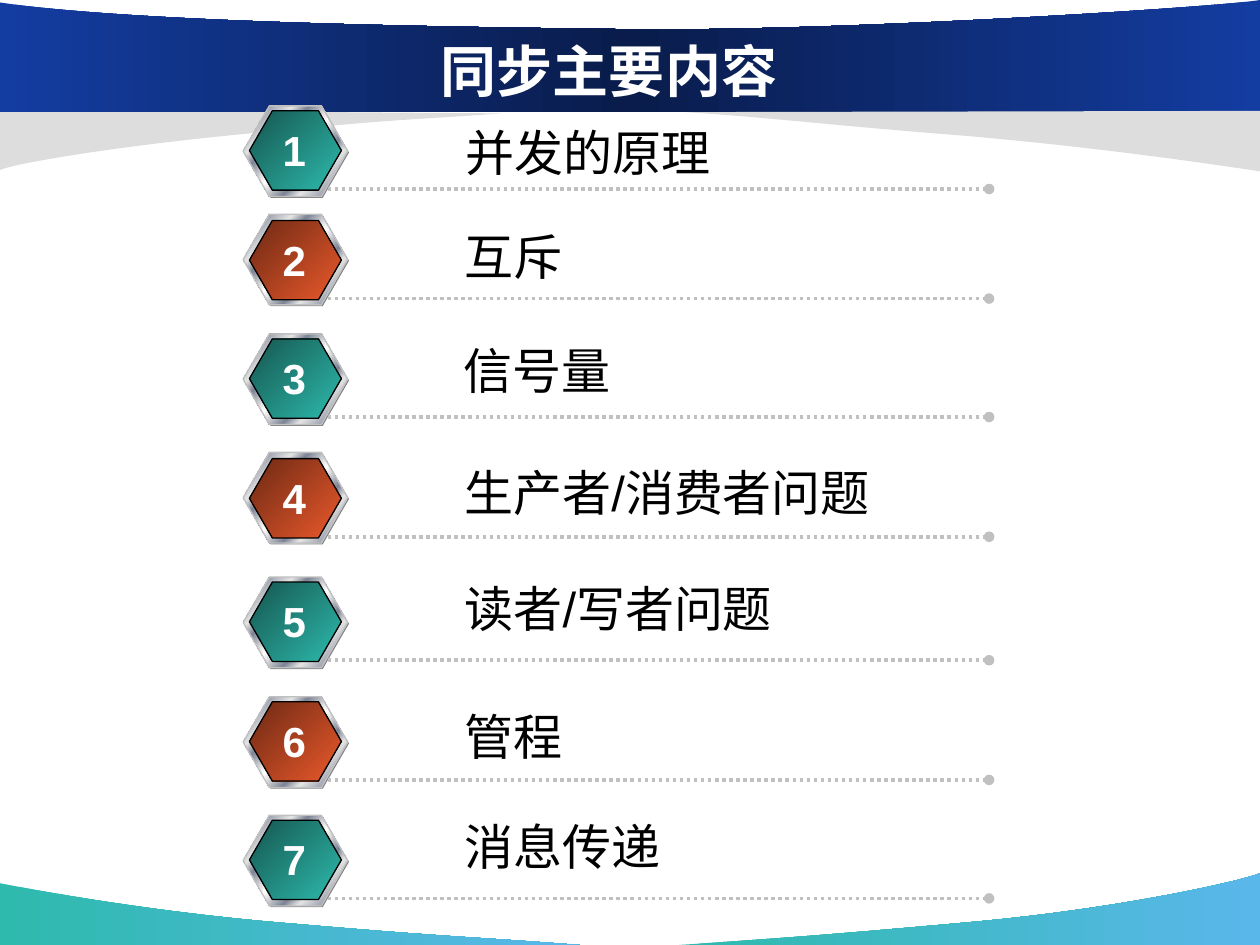
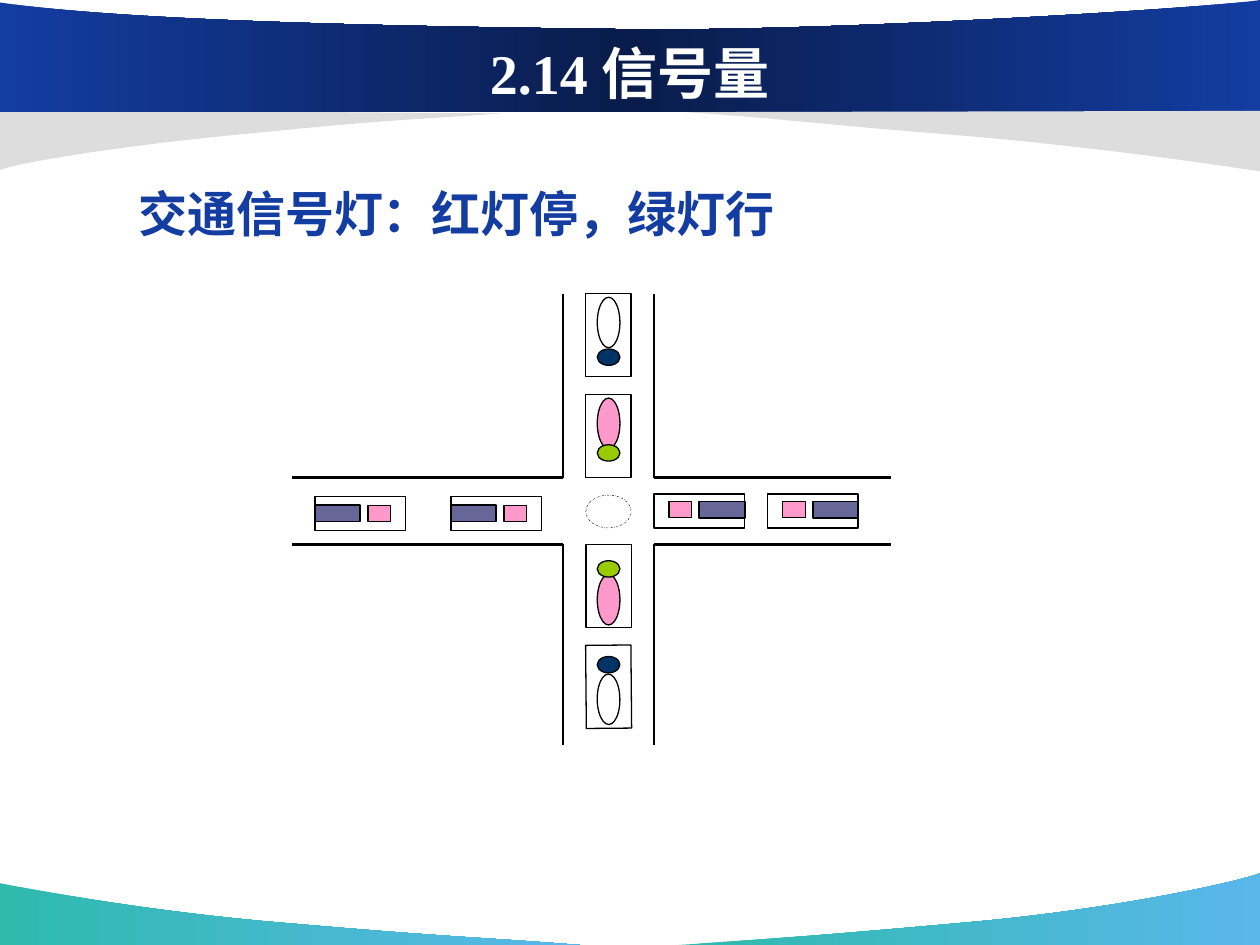
"""Build two slides on synchronisation: a numbered agenda and a traffic-light crossing."""
import pptx
import pptx.dml.color
import pptx.enum.dml
import pptx.enum.shapes
import pptx.enum.text
import pptx.oxml.ns
import pptx.util
from lxml import etree

Inches = pptx.util.Inches
Pt = pptx.util.Pt
RGBColor = pptx.dml.color.RGBColor
qn = pptx.oxml.ns.qn
Kind = pptx.enum.shapes.MSO_SHAPE
STRAIGHT = pptx.enum.shapes.MSO_CONNECTOR.STRAIGHT
Dash = pptx.enum.dml.MSO_LINE
Align = pptx.enum.text.PP_ALIGN
Anchor = pptx.enum.text.MSO_ANCHOR
AutoSize = pptx.enum.text.MSO_AUTO_SIZE


class Theme:
    white, black, blue = "FFFFFF", "000000", "143DA2"
    wing, shade, silver = "DDDDDD", "808080", "C0C0C0"
    body, cab, driver, go, stop = "666699", "FF99CC", "FF99CC", "99CC00", "003366"
    band = [(0, "143DA2"), (50, "091C4B"), (100, "143DA2")]
    footer = [(0, "2EBAAD"), (100, "5AB7EA")]
    teal = [(0, "15564F"), (100, "2EBAAD")]
    orange = [(0, "6C2914"), (100, "EB592B")]
    metal = [(0, "E6E6E6"), (8, "7D8496"), (26, "E6E6E6"), (34, "7D8496"),
             (46, "E6E6E6"), (50, "FFFFFF"), (54, "E6E6E6"), (66, "7D8496"),
             (74, "E6E6E6"), (92, "7D8496"), (100, "E6E6E6")]
    title = {"size": Pt(32), "name": "Arial", "bold": True}
    heading = {"size": Pt(28), "name": "Arial", "bold": True}
    item = {"size": Pt(28), "name": "Arial", "bold": False}
    number = {"size": Pt(24), "name": "Arial", "bold": True}


def style_shape(shape, fill=None, line=None, width=0.75, dash=None, angle=0):
    properties = shape._element.spPr
    if line:
        shape.line.color.rgb = RGBColor.from_string(line)
        shape.line.width = Pt(width)
        if dash:
            shape.line.dash_style = dash
    else:
        shape.line.fill.background()
    if not hasattr(shape, "fill"):
        etree.SubElement(properties, qn("a:effectLst"))
        return
    shape.shadow.inherit = False
    if fill is None:
        shape.fill.background()
    elif isinstance(fill, str):
        shape.fill.solid()
        shape.fill.fore_color.rgb = RGBColor.from_string(fill)
    else:
        shape.fill.gradient()
        gradient = properties.find(qn("a:gradFill"))
        stops = gradient.find(qn("a:gsLst"))
        for stop in list(stops):
            stops.remove(stop)
        for position, color in fill:
            stop = etree.SubElement(stops, qn("a:gs"), pos=str(position * 1000))
            etree.SubElement(stop, qn("a:srgbClr"), val=color)
        gradient.find(qn("a:lin")).set("ang", str(angle * 60000))


def add_text(shapes, box, text, format_values, color, align=Align.LEFT, **frame_values):
    text_box = shapes.add_textbox(*map(Inches, box))
    frame = text_box.text_frame
    for name, value in ({"word_wrap": True} | frame_values).items():
        setattr(frame, name, value)
    paragraph = frame.paragraphs[0]
    paragraph.alignment = align
    run = paragraph.add_run()
    run.text = text
    for name, value in format_values.items():
        setattr(run.font, name, value)
    run.font.color.rgb = RGBColor.from_string(color)
    return paragraph


presentation = pptx.Presentation()
presentation.slide_width, presentation.slide_height = Inches(10), Inches(7.5)
blank_layout = presentation.slide_layouts[6]
agenda_slide = presentation.slides.add_slide(blank_layout)
crossing_slide = presentation.slides.add_slide(blank_layout)

backdrop = [
    (Theme.footer, [(4.6, 7.5), (3.84, 7.44, 3.58, 7.44, 2.32, 7.33),
                    (1.06, 7.23, 0.01, 7.01, 0, 7.01), (0, 7.5)]),
    (Theme.footer, [(5.39, 7.5), (6.14, 7.45, 6.46, 7.43, 7.69, 7.32),
                    (8.92, 7.21, 9.9, 6.98, 10, 6.93), (10, 7.5)]),
    (Theme.wing, [(3.98, 0.9), (3.31, 0.95, 3.18, 0.94, 2.08, 1.05),
                  (0.97, 1.15, 0.09, 1.3, 0, 1.35), (0, 0.87)]),
    (Theme.band, [(0, 0.89), (10, 0.89), (10, 0), (9.64, 0.06, 6.53, 0.26, 4.87, 0.23),
                  (3.21, 0.21, 1.01, 0.17, 0, 0.02)]),
    (Theme.wing, [(5.44, 0.89), (6.2, 0.94, 6.42, 0.98, 7.68, 1.08),
                  (8.94, 1.19, 9.99, 1.36, 10, 1.36), (10, 0.88)]),
]
master_tree = presentation.slide_master.shapes._spTree
for index, (fill, outline) in enumerate(backdrop):
    corners = [(Inches(segment[-2]), Inches(segment[-1])) for segment in outline]
    builder = agenda_slide.shapes.build_freeform(*corners[0])
    builder.add_line_segments(corners[1:], close=True)
    shape = builder.convert_to_shape()
    style_shape(shape, fill)
    edges = list(shape._element.iter(qn("a:lnTo")))
    for edge, segment in zip(edges, outline[1:]):
        if len(segment) == 6:
            curve = etree.Element(qn("a:cubicBezTo"))
            for x, y in zip(segment[::2], segment[1::2]):
                etree.SubElement(curve, qn("a:pt"), x=str(Inches(x) - shape.left),
                                 y=str(Inches(y) - shape.top))
            edge.getparent().replace(edge, curve)
    shape._element.nvSpPr.cNvPr.set("id", str(100 + index))
    master_tree.insert(2 + index, shape._element)

for slide, title, title_box, title_font in [
    (agenda_slide, "同步主要内容", (0.92, 0.25, 7.83, 0.62), "Arial"),
    (crossing_slide, "2.14 信号量", (0.5, 0.06, 9, 1.02), "Times New Roman"),
]:
    add_text(slide.shapes, title_box, title, Theme.title | {"name": title_font},
             Theme.white, Align.CENTER, vertical_anchor=Anchor.MIDDLE)

agenda = [
    ("并发的原理", 0.84, 1.5, 3.6, 0.92),
    ("互斥", 1.7, 2.37, 3.59, 1.75),
    ("信号量", 2.65, 3.31, 3.58, 2.65),
    ("生产者/消费者问题", 3.59, 4.26, 3.59, 3.62),
    ("读者/写者问题", 4.58, 5.24, 3.59, 4.54),
    ("管程", 5.53, 6.19, 3.59, 5.56),
    ("消息传递", 6.47, 7.13, 3.59, 6.43),
]
for number, (label, top, rule_top, label_left, label_top) in enumerate(agenda, 1):
    row = agenda_slide.shapes.add_group_shape().shapes
    face = Theme.teal if number % 2 else Theme.orange
    for left, hexagon_top, width, height, fill, line in [
        (1.94, top + 0.01, 0.83, 0.72, Theme.shade, None),
        (1.93, top, 0.83, 0.72, Theme.metal, Theme.silver),
        (1.98, rule_top - 0.62, 0.73, 0.63, face, Theme.black),
    ]:
        hexagon = row.add_shape(Kind.HEXAGON, *map(Inches, (left, hexagon_top, width, height)))
        hexagon.adjustments[0] = 0.289
        style_shape(hexagon, fill, line, angle=45)
    rule = row.add_connector(STRAIGHT, *map(Inches, (2.6, rule_top, 7.85, rule_top)))
    style_shape(rule, line=Theme.silver, width=2, dash=Dash.ROUND_DOT)
    etree.SubElement(rule._element.spPr.find(qn("a:ln")), qn("a:tailEnd"), type="oval")
    add_text(row, (2.14, rule_top - 0.56, 0.39, 0.5), str(number), Theme.number, Theme.white,
             Align.CENTER, word_wrap=False, auto_size=AutoSize.SHAPE_TO_FIT_TEXT)
    add_text(agenda_slide.shapes, (label_left, label_top, 4.64, 0.57), label, Theme.item,
             Theme.black, auto_size=AutoSize.SHAPE_TO_FIT_TEXT)

heading = add_text(crossing_slide.shapes, (1, 1.31, 8.2, 4.95),
                   "交通信号灯：红灯停，绿灯行", Theme.heading, Theme.blue)
heading.line_spacing = 1.2

crossing = crossing_slide.shapes.add_group_shape().shapes
road_left, road_right, road_top, road_bottom = 4.47, 5.19, 3.79, 4.32
curbs = [(start, y, end, y) for y in (road_top, road_bottom)
         for start, end in ((2.32, road_left), (road_right, 7.07))]
curbs += [(x, start, x, end) for x in (road_left, road_right)
          for start, end in ((2.33, road_top), (road_bottom, 5.91))]
for curb in curbs:
    style_shape(crossing.add_connector(STRAIGHT, *map(Inches, curb)),
                line=Theme.black, width=1.5)

parts = [(Kind.OVAL, 4.65, 3.93, 0.36, 0.26, None, 0.25, Dash.DASH_DOT, 0)]
for left, top, body_offset, cab_offset, part_offset, turn in [
    (2.5, 3.94, 0, 0.42, 0.07, 0),
    (3.58, 3.94, 0, 0.42, 0.07, 0),
    (5.19, 3.92, 0.36, 0.12, 0.06, 180),
    (6.09, 3.92, 0.36, 0.12, 0.06, 180),
]:
    part_top = top + part_offset
    parts += [
        (Kind.RECTANGLE, left + body_offset, part_top, 0.36, 0.13, Theme.body, 1, None, turn),
        (Kind.RECTANGLE, left + cab_offset, part_top, 0.18, 0.13, Theme.cab, 0.75, None, turn),
        (Kind.RECTANGLE, left, top, 0.72, 0.27, None, 0.75, None, turn),
    ]
for top, body_offset, head_offset, body_fill, head_fill, turn in [
    (2.33, 0.03, 0.44, Theme.white, Theme.stop, 0),
    (3.13, 0.03, 0.4, Theme.driver, Theme.go, 0),
    (4.32, 0.24, 0.13, Theme.driver, Theme.go, 180),
    (5.12, 0.23, 0.09, Theme.white, Theme.stop, 179.5),
]:
    parts += [
        (Kind.RECTANGLE, 4.65, top, 0.36, 0.66, None, 0.75, None, turn),
        (Kind.OVAL, 4.74, top + body_offset, 0.18, 0.4, body_fill, 0.75, None, turn),
        (Kind.OVAL, 4.74, top + head_offset, 0.18, 0.13, head_fill, 0.75, None, turn),
    ]
for kind, left, top, width, height, fill, line_width, dash, turn in parts:
    shape = crossing.add_shape(kind, *map(Inches, (left, top, width, height)))
    shape.rotation = turn
    style_shape(shape, fill, Theme.black, line_width, dash)

presentation.save("out.pptx")
